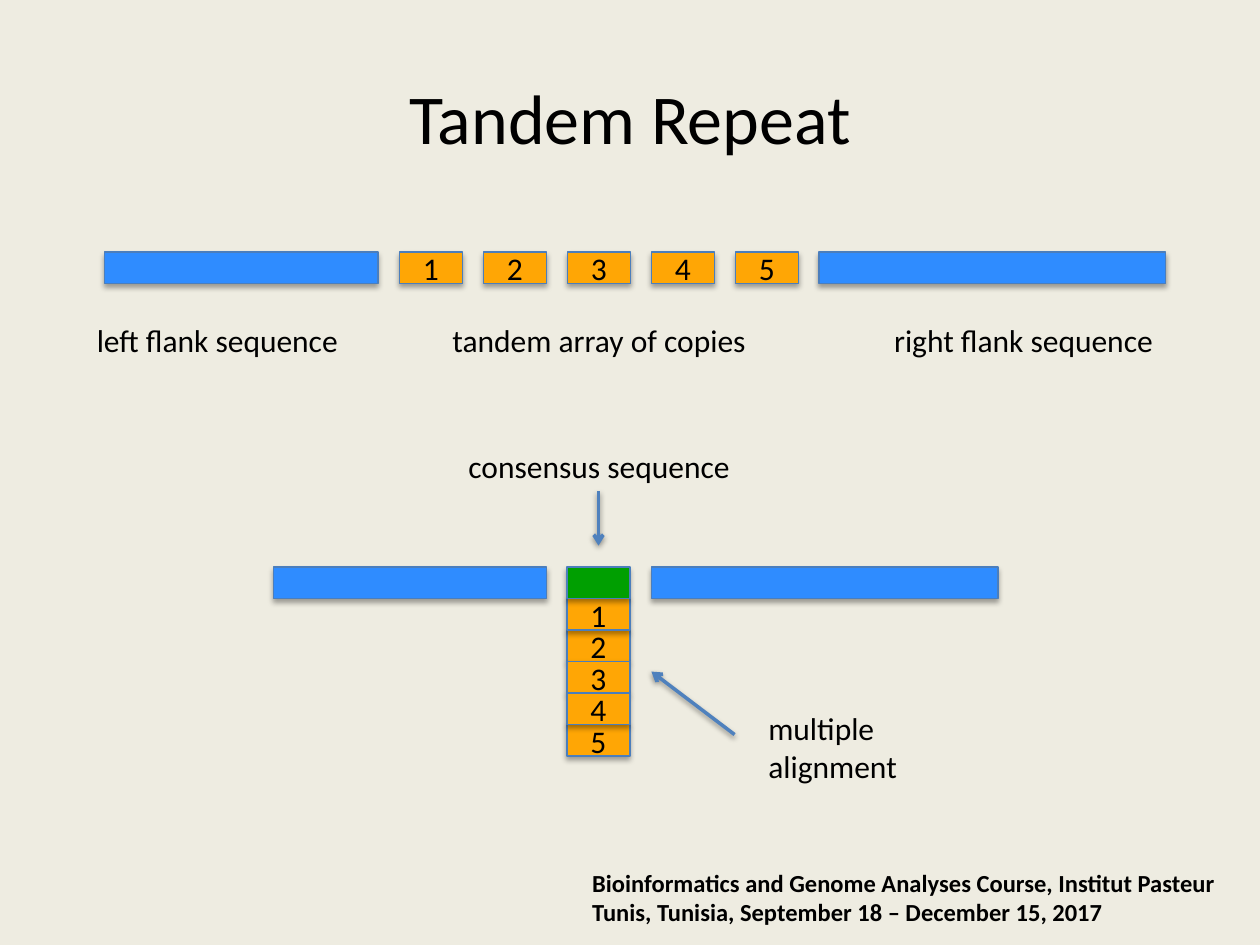
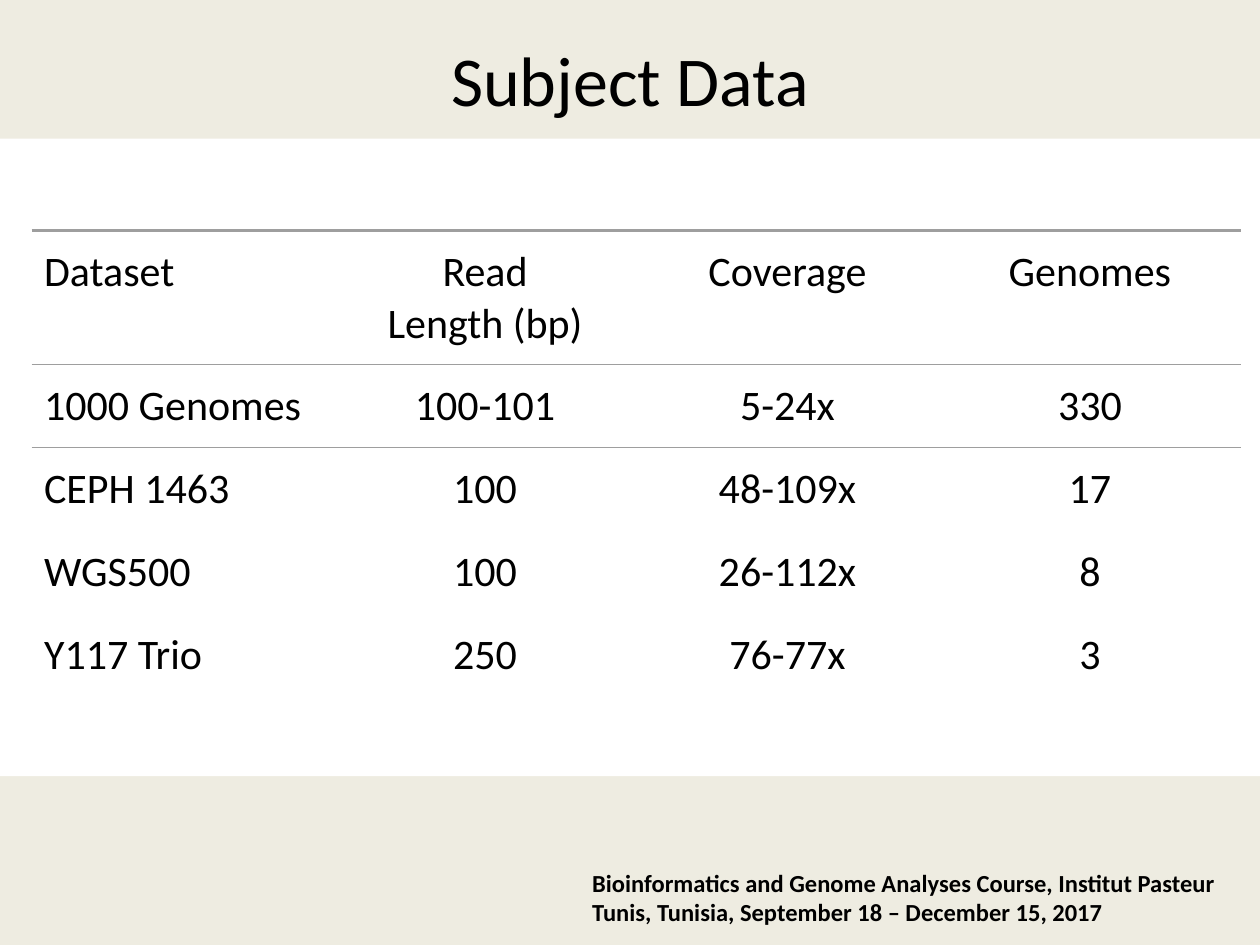
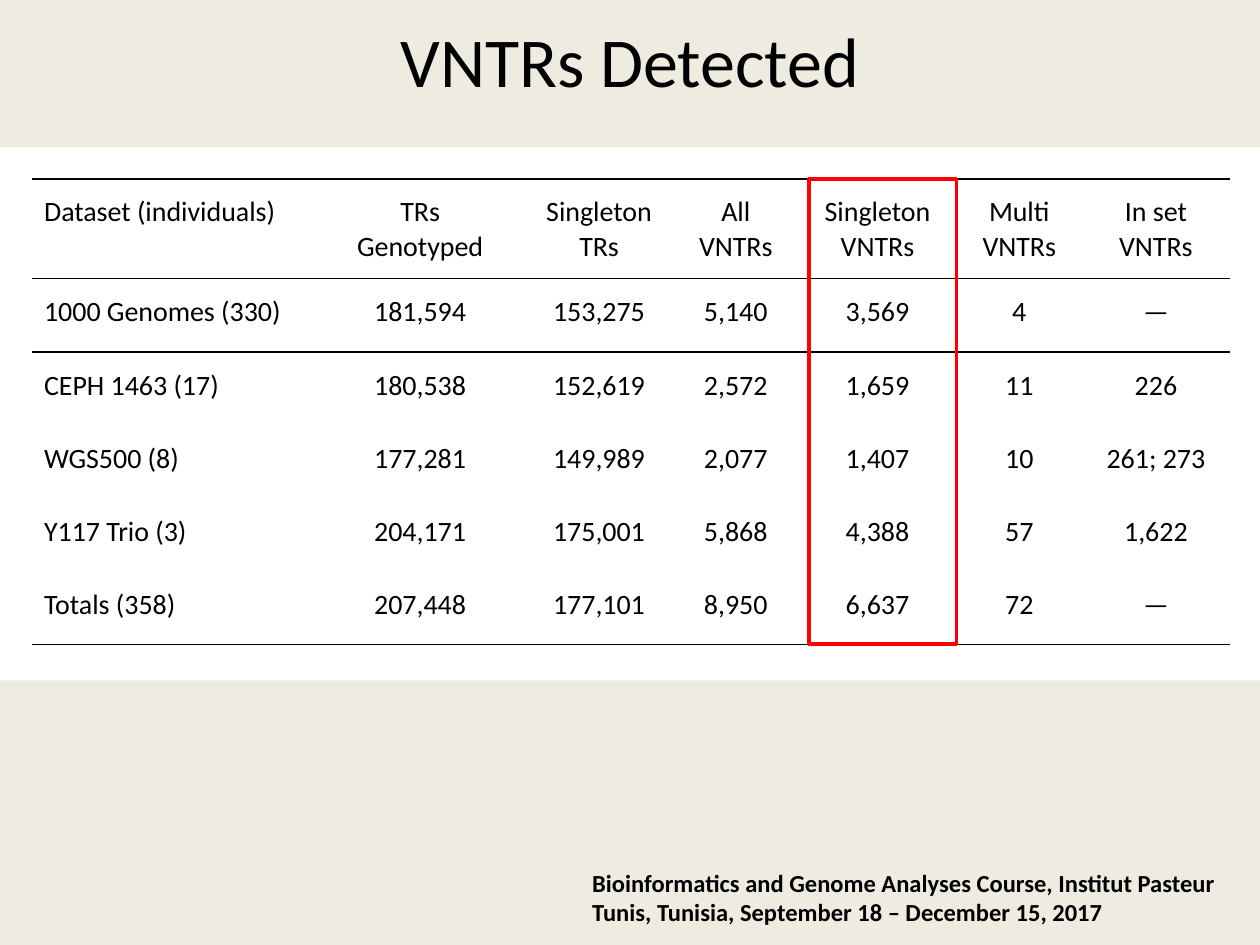
"""Build three slides on tandem repeats and the VNTRs detected in four datasets."""
from dataclasses import dataclass

from lxml import etree
from pptx import Presentation
from pptx import util as u
from pptx.dml.color import RGBColor
from pptx.enum import shapes, text
from pptx.oxml import parse_xml
from pptx.oxml.ns import nsdecls, qn


@dataclass(frozen=True)
class Theme:
    font: str = "Calibri"
    background: str = "EEECE1"
    ink: str = "000000"
    band: str = "FFFFFF"
    flank: str = "2F8CFF"
    copy: str = "FFA605"
    consensus: str = "009F01"
    outline: str = "4B7EBC"
    arrow: str = "4F81BD"
    table_rule: str = "9E9E9E"
    highlight: str = "FF0000"
    title_size: int = 40
    label_size: int = 18
    footer_size: int = 14
    wide_table_size: int = 24
    dense_table_size: int = 16


THEME = Theme()
LEFT, CENTER, RIGHT = text.PP_ALIGN.LEFT, text.PP_ALIGN.CENTER, text.PP_ALIGN.RIGHT
PLAIN_TABLE = "{2D5ABB26-0587-4C30-8999-92F81FD0307C}"
FOOTER = ("Bioinformatics and Genome Analyses Course, Institut Pasteur\n"
          "Tunis, Tunisia, September 18 – December 15, 2017")


def rgb(color):
    return RGBColor.from_string(color)


def write(frame, words, size=THEME.label_size, align=LEFT, bold=False, color=THEME.ink):
    for index, line in enumerate(words.split("\n")):
        para = frame.paragraphs[0] if index == 0 else frame.add_paragraph()
        para.alignment = align
        span = para.add_run()
        span.text = line
        span.font.name = THEME.font
        span.font.size = u.Pt(size)
        span.font.bold = bold
        span.font.color.rgb = rgb(color)


def add_shadow(shape, alpha=None, distance=1.8):
    properties = shape._element.spPr
    effects = etree.SubElement(properties, qn("a:effectLst"))
    if alpha:
        effects.append(parse_xml(
            f'<a:outerShdw {nsdecls("a")} blurRad="{u.Pt(3.1)}" dist="{u.Pt(distance)}" '
            f'dir="5400000" rotWithShape="0"><a:srgbClr val="{THEME.ink}">'
            f'<a:alpha val="{alpha * 1000}"/></a:srgbClr></a:outerShdw>'))


def add_border(cell, side, color, width):
    cell._tc.get_or_add_tcPr().append(parse_xml(
        f'<a:{side} {nsdecls("a")} w="{u.Pt(width)}"><a:solidFill>'
        f'<a:srgbClr val="{color}"/></a:solidFill></a:{side}>'))


class SlideBuilder:
    def __init__(self, deck):
        self.deck = deck
        self.page = None

    def start(self, title, top):
        self.page = self.deck.slides.add_slide(self.deck.slide_layouts[6])
        fill = self.page.background.fill
        fill.solid()
        fill.fore_color.rgb = rgb(THEME.background)
        self.label(4.58, 6.83, 5.33, 0.6, FOOTER, inset=0.12,
                   size=THEME.footer_size, bold=True)
        heading = self.label(0.5, top, 9, 1.25, title, grow=False,
                             size=THEME.title_size, align=CENTER)
        heading.text_frame.vertical_anchor = text.MSO_ANCHOR.MIDDLE

    def label(self, left, top, width, height, words, inset=0.1, wrap=True, grow=True, **style):
        box = self.page.shapes.add_textbox(*map(u.Inches, (left, top, width, height)))
        frame = box.text_frame
        frame.word_wrap = wrap
        if grow:
            frame.auto_size = text.MSO_AUTO_SIZE.SHAPE_TO_FIT_TEXT
        frame.margin_left = frame.margin_right = u.Inches(inset)
        frame.margin_top = frame.margin_bottom = u.Inches(inset / 2)
        write(frame, words, **style)
        return box

    def rectangle(self, left, top, width, height, fill=None, line=None, weight=0.75):
        shape = self.page.shapes.add_shape(
            shapes.MSO_SHAPE.RECTANGLE, *map(u.Inches, (left, top, width, height)))
        if fill:
            shape.fill.solid()
            shape.fill.fore_color.rgb = rgb(fill)
        else:
            shape.fill.background()
        if line:
            shape.line.color.rgb = rgb(line)
            shape.line.width = u.Pt(weight)
        else:
            shape.line.fill.background()
        shape.shadow.inherit = False
        return shape

    def segment(self, left, top, width, fill):
        shape = self.rectangle(left, top, width, 0.25, fill, THEME.outline)
        properties = shape._element.spPr
        properties.remove(properties.find(qn("a:effectLst")))
        add_shadow(shape, alpha=35)

    def flanks(self, left, right, top):
        self.segment(left, top, 2.17, THEME.flank)
        self.segment(right, top, 2.75, THEME.flank)

    def number(self, left, top, value):
        self.label(left, top - 0.07, 0.5, 0.4, str(value), align=CENTER)

    def arrow(self, start, end):
        line = self.page.shapes.add_connector(
            shapes.MSO_CONNECTOR.STRAIGHT, *map(u.Inches, (*start, *end)))
        line.line.color.rgb = rgb(THEME.arrow)
        line.line.width = u.Pt(2)
        etree.SubElement(line.line._get_or_add_ln(), qn("a:tailEnd"), type="arrow")
        add_shadow(line, alpha=38, distance=1.6)

    def table(self, left, top, height, columns, row_heights, rows, size, rule, closed=False):
        holder = self.page.shapes.add_table(
            len(rows), len(columns), *map(u.Inches, (left, top, sum(columns), height)))
        table = holder.table
        table.first_row = table.horz_banding = False
        table._tbl.tblPr.find(qn("a:tableStyleId")).text = PLAIN_TABLE
        for column, width in zip(table.columns, columns):
            column.width = u.Inches(width)
        for row, row_height in zip(table.rows, row_heights):
            row.height = u.Inches(row_height)
        holder.height = u.Inches(height)
        last = len(rows) - 1
        for r, row in enumerate(rows):
            for c, words in enumerate(row):
                cell = table.cell(r, c)
                cell.margin_left = cell.margin_right = u.Inches(0.1)
                cell.margin_top = cell.margin_bottom = u.Inches(0.13)
                if r < 2:
                    add_border(cell, "lnT", rule, 0.75 if r else 1.5)
                if r == 0 or (closed and r == last):
                    add_border(cell, "lnB", rule, 0.75)
                cell.fill.background()
                write(cell.text_frame, words, size=size, align=CENTER if c else LEFT)


def add_tandem_repeat(builder):
    builder.start("Tandem Repeat", top=0.3)
    array_left, array_top, pitch = 3.17, 2, 2 / 3
    stack_left, stack_top, step = 4.5, 4.5, 0.25
    copies = range(1, 6)

    builder.flanks(2.17, 5.17, stack_top)
    for level in (5, 2, 1, 0, 3, 4):
        builder.segment(stack_left, stack_top + level * step, 0.5,
                        THEME.copy if level else THEME.consensus)
    for copy in copies:
        builder.number(stack_left, stack_top + copy * step, copy)

    builder.flanks(0.83, 6.5, array_top)
    for copy in copies:
        left = array_left + (copy - 1) * pitch
        builder.segment(left, array_top, 0.5, THEME.copy)
        builder.number(left, array_top, copy)

    builder.label(0.67, 2.5, 2.33, 0.4, "left flank sequence")
    builder.label(6.58, 2.5, 2.67, 0.4, "right flank sequence", align=RIGHT)
    builder.label(3.17, 2.5, 3.17, 0.4, "tandem array of copies", align=CENTER)
    builder.label(3.17, 3.5, 3.17, 0.4, "consensus sequence", align=CENTER)
    builder.arrow((4.75, 3.9), (4.75, 4.33))
    builder.label(6, 5.58, 1.23, 0.71, "multiple\nalignment", wrap=False)
    builder.arrow((5.83, 5.83), (5.17, 5.33))


def add_subject_data(builder):
    builder.start("Subject Data", top=0)
    builder.rectangle(0, 1.1, 10, 5.06, THEME.band)
    rows = [
        ("Dataset", "Read\nLength (bp)", "Coverage", "Genomes"),
        ("1000 Genomes", "100-101", "5-24x", "330"),
        ("CEPH 1463", "100", "48-109x", "17"),
        ("WGS500", "100", "26-112x", "8"),
        ("Y117 Trio", "250", "76-77x", "3"),
    ]
    builder.table(0.25, 1.83, 3.73, [2.4] * 4, [0.56] * 5, rows,
                  THEME.wide_table_size, THEME.table_rule)


def add_vntrs_detected(builder):
    builder.start("VNTRs Detected", top=-0.15)
    builder.rectangle(0, 1.17, 10, 4.23, THEME.band)
    rows = [
        ("Dataset (individuals)", "TRs\nGenotyped", "Singleton\nTRs", "All\nVNTRs",
         "Singleton\nVNTRs", "Multi\nVNTRs", "In set\nVNTRs"),
        ("1000 Genomes (330)", "181,594", "153,275", "5,140", "3,569", "4", "—"),
        ("CEPH 1463 (17)", "180,538", "152,619", "2,572", "1,659", "11", "226"),
        ("WGS500 (8)", "177,281", "149,989", "2,077", "1,407", "10", "261; 273"),
        ("Y117 Trio (3)", "204,171", "175,001", "5,868", "4,388", "57", "1,622"),
        ("Totals (358)", "207,448", "177,101", "8,950", "6,637", "72", "—"),
    ]
    builder.table(0.25, 1.42, 3.69, [2.25, 1.67, 1.17, 1, 1.25, 1, 1.17],
                  [0.56] + [0.58] * 5, rows, THEME.dense_table_size, THEME.ink, closed=True)
    builder.rectangle(6.42, 1.42, 1.17, 3.69, line=THEME.highlight, weight=2)


def main():
    deck = Presentation()
    deck.slide_width, deck.slide_height = u.Inches(10), u.Inches(7.5)
    builder = SlideBuilder(deck)
    add_tandem_repeat(builder)
    add_subject_data(builder)
    add_vntrs_detected(builder)
    deck.save("out.pptx")


if __name__ == "__main__":
    main()
